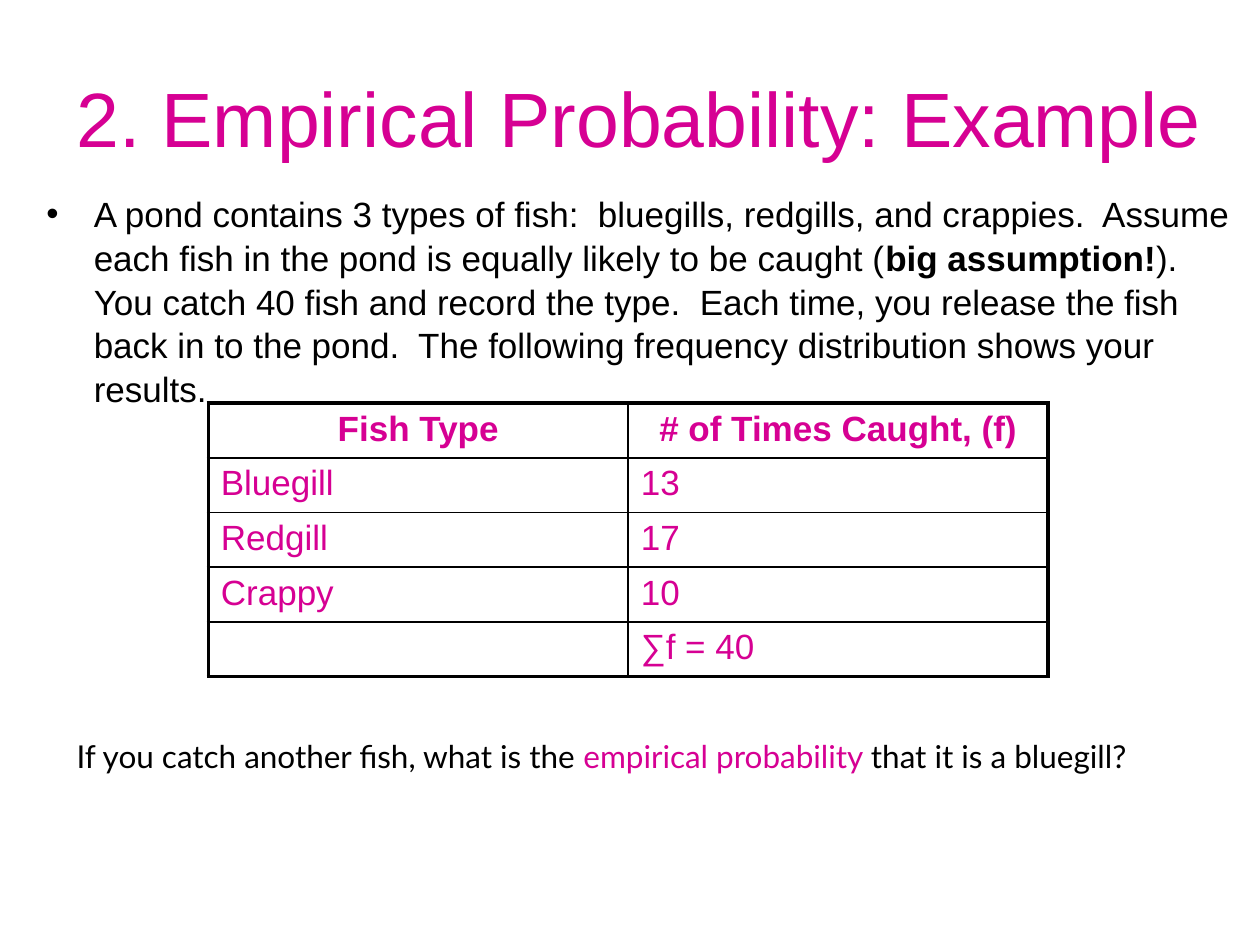
from dataclasses import dataclass

from lxml import etree
from pptx import Presentation
from pptx.dml.color import RGBColor
from pptx.enum.text import MSO_ANCHOR, PP_ALIGN
from pptx.oxml.ns import qn
from pptx.util import Pt

CENTER, LEFT = PP_ALIGN.CENTER, PP_ALIGN.LEFT
TOP, MIDDLE = MSO_ANCHOR.TOP, MSO_ANCHOR.MIDDLE


@dataclass(frozen=True)
class Theme:
    ink: str = "000000"
    accent: str = "D60093"
    sans: str = "Arial"
    humanist: str = "Lato"
    title_size: float = 44
    body_size: float = 20
    question_size: float = 18
    outer_line: float = 2.25
    inner_line: float = 1


class SlideBuilder:
    def __init__(self, slide, theme):
        self.slide = slide
        self.theme = theme

    def format_font(self, font, name, size, color, bold=False):
        values = {"name": name, "size": Pt(size), "bold": bold}
        for attribute, value in values.items():
            setattr(font, attribute, value)
        font.color.rgb = RGBColor.from_string(color)

    def add_text(self, box, runs, name, size, align=LEFT, anchor=TOP):
        shape = self.slide.shapes.add_textbox(*map(Pt, box))
        frame = shape.text_frame
        for attribute, value in {"word_wrap": True, "vertical_anchor": anchor}.items():
            setattr(frame, attribute, value)
        paragraph = frame.paragraphs[0]
        paragraph.alignment = align
        for text, color, bold in runs:
            run = paragraph.add_run()
            run.text = text
            self.format_font(run.font, name, size, color, bold)
        return paragraph

    def add_bullet(self, box, runs, name, size, indent, spacing):
        paragraph = self.add_text(box, runs, name, size)
        paragraph.line_spacing = spacing
        properties = paragraph._p.get_or_add_pPr()
        properties.set("marL", str(Pt(indent)))
        properties.set("indent", str(-Pt(indent)))
        etree.SubElement(properties, qn("a:buFont")).set("typeface", name)
        etree.SubElement(properties, qn("a:buChar")).set("char", "•")

    def add_border(self, cell, side, width):
        line = etree.SubElement(cell._tc.get_or_add_tcPr(), qn(f"a:{side}"))
        line.set("w", str(Pt(width)))
        fill = etree.SubElement(line, qn("a:solidFill"))
        etree.SubElement(fill, qn("a:srgbClr")).set("val", self.theme.ink)

    def add_table(self, left, top, column_width, row_height, rows):
        theme = self.theme
        row_count, column_count = len(rows), len(rows[0])
        table = self.slide.shapes.add_table(
            row_count, column_count, Pt(left), Pt(top),
            Pt(column_width * column_count), Pt(row_height * row_count)).table
        for row_index, values in enumerate(rows):
            table.rows[row_index].height = Pt(row_height)
            for column_index, value in enumerate(values):
                cell = table.cell(row_index, column_index)
                outer_sides = {
                    "lnL": column_index == 0,
                    "lnR": column_index == column_count - 1,
                    "lnT": row_index == 0,
                    "lnB": row_index == row_count - 1,
                }
                for side, is_outer in outer_sides.items():
                    self.add_border(cell, side, theme.outer_line if is_outer else theme.inner_line)
                cell.fill.background()
                is_header = row_index == 0
                paragraph = cell.text_frame.paragraphs[0]
                paragraph.text = value
                paragraph.alignment = CENTER if is_header else LEFT
                fonts = [run.font for run in paragraph.runs] or [paragraph.font]
                for font in fonts:
                    self.format_font(font, theme.sans, theme.body_size, theme.accent, is_header)


def main():
    """Build the empirical probability example slide."""
    theme = Theme()
    presentation = Presentation()
    presentation.slide_width, presentation.slide_height = Pt(720), Pt(540)
    slide = presentation.slides.add_slide(presentation.slide_layouts[6])
    builder = SlideBuilder(slide, theme)

    builder.add_text(
        (25.2, 21.6, 680.4, 90), [("2. Empirical Probability: Example", theme.accent, False)],
        theme.sans, theme.title_size, CENTER, MIDDLE)
    builder.add_bullet(
        (19.5, 105.8, 692, 158.4),
        [("A pond contains 3 types of fish:  bluegills, redgills, and crappies.  Assume each fish "
          "in the pond is equally likely to be caught (", theme.ink, False),
         ("big assumption!", theme.ink, True),
         (").  You catch 40 fish and record the type.  Each time, you release the fish back in to "
          "the pond.  The following frequency distribution shows your results.", theme.ink, False)],
        theme.sans, theme.body_size, indent=27, spacing=1.04)
    builder.add_table(119, 230.4, 240, 29.5, [
        ("Fish Type", "# of Times Caught, (f)"),
        ("Bluegill", "13"),
        ("Redgill", "17"),
        ("Crappy", "10"),
        ("", "∑f = 40"),
    ])
    builder.add_text(
        (36.7, 417.6, 651.6, 28.8),
        [("If you catch another fish, what is the ", theme.ink, False),
         ("empirical probability ", theme.accent, False),
         ("that it is a bluegill?", theme.ink, False)],
        theme.humanist, theme.question_size)
    presentation.save("out.pptx")


if __name__ == "__main__":
    main()
